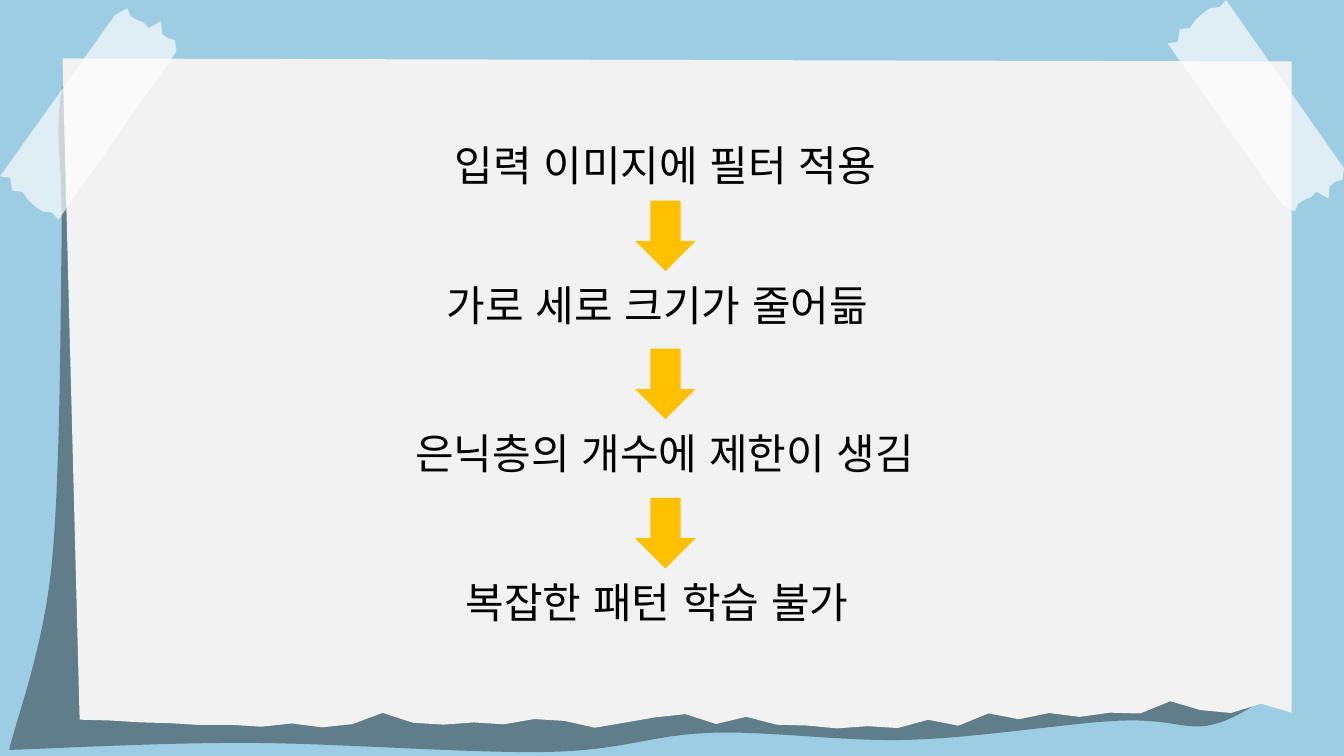
from itertools import pairwise
from math import hypot

from lxml.etree import SubElement
from pptx import Presentation
from pptx.dml.color import RGBColor
from pptx.enum.lang import MSO_LANGUAGE_ID
from pptx.enum.shapes import MSO_SHAPE
from pptx.enum.text import MSO_AUTO_SIZE
from pptx.oxml.ns import qn
from pptx.util import Pt

PX = 9144
WIDE, HIGH = 1333, 750
FONT = "Noto Sans CJK KR"
SKY, PAPER, SHADE, TAPE, GOLD = "9DCDE3", "F2F2F2", "000000", "FFFFFF", "FFC000"

STEPS = [
    ("입력 이미지에 필터 적용", 441, 133, 452),
    ("가로 세로 크기가 줄어듦", 433, 272, 452),
    ("은닉층의 개수에 제한이 생김", 402, 419, 529),
    ("복잡한 패턴 학습 불가", 452, 567, 413),
]
PAPER_TEETH = [
    1, 3, 4, 6, 6, 8, 5, 9, 6, -5, 5, 7, 5, 7, 2, 4, 11, 6, 1, -2,
    8, 1, 9, 10, 13, 11, 13, 5, 11, -1, 5, -1, 3, -1, 0, -12, -3, 0, -9,
]
LOW_TEETH = [-5, 4, -1, 2, 3, 3, -2]
HIGH_TEETH = [9, 7, 8, 18, 6, 8, 7, 7, 12]


def color(code):
    return RGBColor.from_string(code)


def scale(*sizes):
    return [round(size * PX) for size in sizes]


def paint(shape, code, alpha=100):
    shape.shadow.inherit = False
    shape.line.fill.background()
    shape.fill.solid()
    shape.fill.fore_color.rgb = color(code)
    if alpha < 100:
        tint = shape._element.spPr.find(qn("a:solidFill"))[0]
        SubElement(tint, qn("a:alpha")).set("val", str(alpha * 1000))


def write(shapes, text, box, size=30, code="000000", font=FONT):
    frame = shapes.add_textbox(*scale(*box)).text_frame
    frame.word_wrap = False
    frame.auto_size = MSO_AUTO_SIZE.SHAPE_TO_FIT_TEXT
    run = frame.paragraphs[0].add_run()
    run.text = text
    run.font.size = Pt(size)
    run.font.name = font
    run.font.language_id = MSO_LANGUAGE_ID.KOREAN
    run.font.color.rgb = color(code)
    SubElement(run.font._element, qn("a:ea")).set("typeface", font)


def tear(start, end, teeth):
    (x, y), (u, v) = start, end
    dx, dy = u - x, v - y
    span = hypot(dx, dy)
    edge = [start]
    for i, depth in enumerate(teeth, 1):
        part, push = i / (len(teeth) + 1), depth / span
        edge.append((x + dx * part - dy * push, y + dy * part + dx * push))
    return edge + [end]


def smooth(knots, parts=12):
    chain = [knots[0], *knots, knots[-1]]
    edge = [knots[0]]
    for a, b, c, d in zip(chain, chain[1:], chain[2:], chain[3:]):
        for step in range(1, parts + 1):
            t = step / parts
            edge.append(tuple(
                q + t * (r - p + t * (2*p - 5*q + 4*r - s + t * (3*q - p - 3*r + s))) / 2
                for p, q, r, s in zip(a, b, c, d)))
    return edge


def outline(shapes, points, left, top, code, alpha=100):
    first, *rest = [scale(left + x, top + y) for x, y in points]
    pen = shapes.build_freeform(*first, scale=1.0)
    pen.add_line_segments(rest, close=True)
    paint(pen.convert_to_shape(), code, alpha)


def shadow(shapes, left, top):
    side = smooth([(55, 0), (49, 49), (52, 171), (42, 487), (0, 668)])
    foot = smooth([(0, 668), (238, 661), (535, 670), (696, 651), (893, 658),
                   (1100, 639), (1188, 644), (1245, 618)])
    outline(shapes, side + foot, left, top, SHADE, 39)


def paper(shapes, left, top, width):
    foot = tear((17, 656), (width, 649), PAPER_TEETH)
    outline(shapes, [(width, 3), (0, 0), *foot], left, top, PAPER)


def tape(shapes, left, top, high=210, flip=False):
    low = tear((0, 167), (58, high), LOW_TEETH)
    up = tear((175, 43), (114, 7), HIGH_TEETH)
    points = [(x, high - y if flip else y) for x, y in low + up]
    outline(shapes, points, left, top, TAPE, 68)


def sheet(slide, left, top, width):
    shapes = slide.shapes.add_group_shape().shapes
    shadow(shapes, left + 9, top + 76)
    paper(shapes, left + 62, top + 58, width - 114)
    tape(shapes, left, top + 8)
    tape(shapes, left + width - 175, top, flip=True)


def flow(slide, left, top, width):
    shapes = slide.shapes
    for text, x, y, wide in STEPS:
        write(shapes, text, (left + x, top + y, wide, 61))
    middle = left + width // 2 - 6
    for (*_, y, _), (*_, below, _) in pairwise(STEPS):
        box = scale(middle - 30, top + below - 73, 60, 70)
        paint(shapes.add_shape(MSO_SHAPE.DOWN_ARROW, *box), GOLD)


def main():
    deck = Presentation()
    deck.slide_width, deck.slide_height = scale(WIDE, HIGH)
    slide = deck.slides.add_slide(deck.slide_layouts[6])
    back = slide.background.fill
    back.solid()
    back.fore_color.rgb = color(SKY)
    sheet(slide, 0, 0, WIDE)
    flow(slide, 0, 0, WIDE)
    deck.save("out.pptx")


if __name__ == "__main__":
    main()
